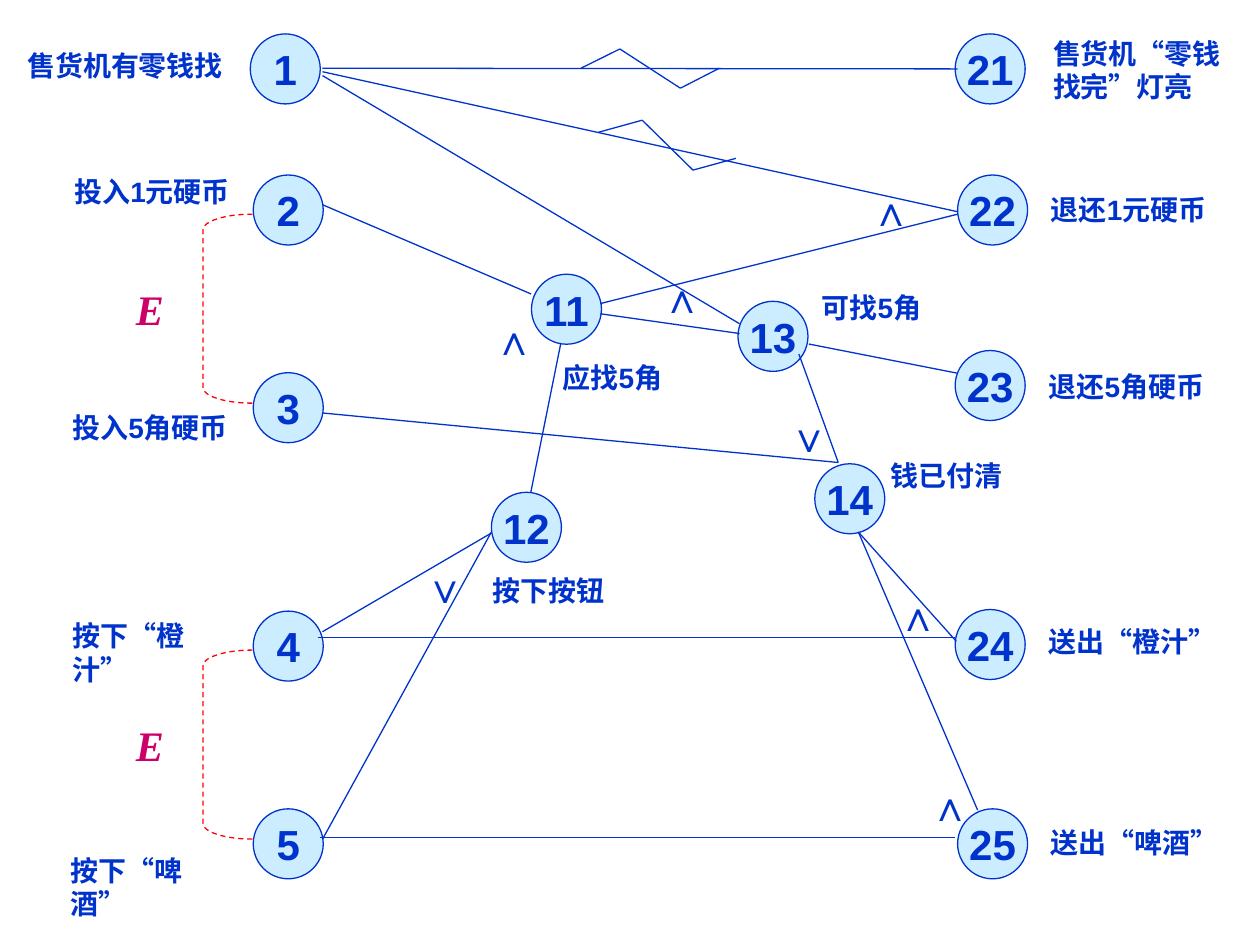
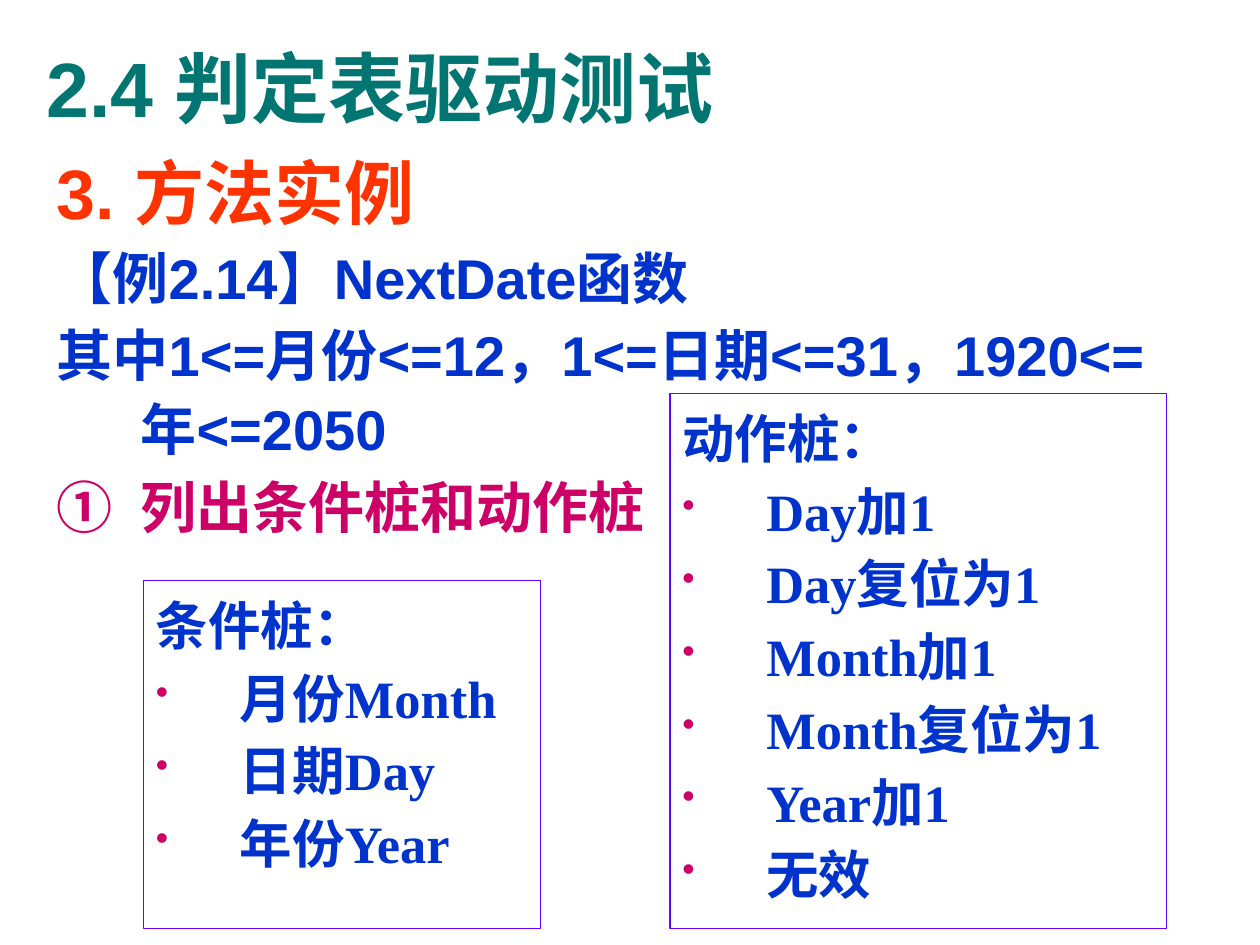
from collections import namedtuple

from lxml import etree
from pptx import Presentation
from pptx.dml.color import RGBColor
from pptx.enum.dml import MSO_LINE
from pptx.enum.shapes import MSO_CONNECTOR, MSO_SHAPE
from pptx.enum.text import MSO_ANCHOR, PP_ALIGN
from pptx.oxml.ns import qn
from pptx.util import Pt

STRAIGHT = MSO_CONNECTOR.STRAIGHT
OVAL, RECTANGLE, BRACKET = MSO_SHAPE.OVAL, MSO_SHAPE.RECTANGLE, MSO_SHAPE.LEFT_BRACKET
DASH = MSO_LINE.DASH
TOP, MIDDLE = MSO_ANCHOR.TOP, MSO_ANCHOR.MIDDLE
LEFT, CENTER = PP_ALIGN.LEFT, PP_ALIGN.CENTER

Box = namedtuple("Box", "left top width height")


class Theme:
    BLUE, PALE, PINK = "0033CC", "CCECFF", "CC0066"
    RED, ORANGE, TEAL, VIOLET = "FF0000", "FF3300", "007572", "6600FF"
    SANS, SERIF = "Arial", "Times New Roman"
    LINE = 0.75
    HANG = 48
    NODE = dict(name=SANS, size=24, color=BLUE, bold=True)
    OR_SIGN = dict(NODE, name=SERIF)
    EXCLUSIVE = dict(OR_SIGN, color=PINK, italic=True)
    LABEL = dict(NODE, size=16)
    TITLE = dict(NODE, size=44, color=TEAL)
    HEADING = dict(NODE, size=40, color=ORANGE)
    BODY = dict(NODE, size=32)
    STEP = dict(BODY, color=PINK)
    STUB = dict(OR_SIGN, size=30)


NODE_SIZE = 40
NODES = {
    "1": (143, 19.4), "2": (144.7, 100), "3": (144.7, 213), "4": (144.7, 349.2), "5": (144.7, 462.2),
    "11": (303.7, 156.7), "12": (280.8, 281.3), "13": (421.7, 172.2), "14": (465.6, 265),
    "21": (545.8, 19.4), "22": (547.2, 100), "23": (545.8, 200.3), "24": (545.8, 348.3),
    "25": (547.2, 462.2),
}
EDGES = [
    (184.3, 39, 547.2, 39.4), (184.3, 41, 547.2, 121), (184.3, 43.2, 422.6, 185),
    (184.3, 117, 303.5, 168), (184.3, 236, 479, 264.3), (184.3, 361, 280.8, 304.6),
    (181.5, 364.4, 545.5, 364.4), (184.3, 479.6, 280.8, 304), (183, 478.6, 545.8, 478.6),
    (303.3, 281.5, 320.4, 196.6), (343, 173.5, 547.2, 122.4), (343, 179.3, 422.6, 190.6),
    (462.2, 196.6, 547.2, 213.3), (456.5, 202.3, 479, 264.3), (490.5, 304, 546.5, 366.5),
    (490.5, 304, 558.7, 463),
]
NEGATIONS = [
    [(332, 39), (354.2, 28), (388.8, 50.4), (411.1, 39)],
    [(342, 75.6), (367, 68.7), (396, 97.2), (420.5, 90.5)],
]
LABELS = [
    ("售货机有零钱找", 8.6, 24.5, 130), ("投入1元硬币", 35.5, 96.5, 103),
    ("投入5角硬币", 34.4, 231, 103), ("按下“橙汁”", 34.4, 350, 103),
    ("按下“啤酒”", 33.2, 484, 103), ("应找5角", 314.5, 202.3, 103),
    ("按下按钮", 274.3, 324, 103), ("可找5角", 462.5, 162.3, 103),
    ("钱已付清", 502, 258.5, 103), ("售货机“零钱找完”灯亮", 594.7, 17.3, 122.4),
    ("退还1元硬币", 593.5, 106.6, 122.4), ("退还5角硬币", 592.3, 207.4, 122.4),
    ("送出“橙汁”", 592.3, 353.5, 122.4), ("送出“啤酒”", 593.5, 468, 122.4),
]
SIGN_SIZE = 28.2
AND_SIGNS = [(275, 179.3), (370.8, 155.5), (490.5, 106), (506, 337), (524.3, 445.7)]
OR_SIGNS = [(235.4, 321), (443.5, 235)]
EXCLUSIVE_PAIRS = [122.4, 371.5]


def write(para, text, style):
    span = para.add_run()
    span.text = text
    values = dict(style)
    span.font.color.rgb = RGBColor.from_string(values.pop("color"))
    values["size"] = Pt(values["size"])
    for key, value in values.items():
        setattr(span.font, key, value)


def set_frame(shape, wrap, anchor):
    frame = shape.text_frame
    frame.word_wrap = wrap
    frame.vertical_anchor = anchor
    return frame


def add_text(page, box, text, style, wrap=True, anchor=TOP, align=LEFT):
    shape = page.shapes.add_textbox(*map(Pt, box))
    para = set_frame(shape, wrap, anchor).paragraphs[0]
    para.alignment = align
    write(para, text, style)


def add_outline(page, kind, box, color, fill=None):
    shape = page.shapes.add_shape(kind, *map(Pt, box))
    shape.shadow.inherit = False
    if fill:
        shape.fill.solid()
        shape.fill.fore_color.rgb = RGBColor.from_string(fill)
    else:
        shape.fill.background()
    shape.line.color.rgb = RGBColor.from_string(color)
    shape.line.width = Pt(Theme.LINE)
    return shape


def add_line(page, box, start, end):
    x1, y1 = start
    x2, y2 = end
    line = page.shapes.add_connector(STRAIGHT, Pt(box.left + x1), Pt(box.top + y1),
                                     Pt(box.left + x2), Pt(box.top + y2))
    line.line.color.rgb = RGBColor.from_string(Theme.BLUE)
    line.line.width = Pt(Theme.LINE)
    etree.SubElement(line._element.spPr, qn("a:effectLst"))


def add_node(page, box, name):
    circle = add_outline(page, OVAL, box, Theme.BLUE, Theme.PALE)
    para = set_frame(circle, False, MIDDLE).paragraphs[0]
    para.alignment = CENTER
    write(para, name, Theme.NODE)


def add_sign(page, box, text, style):
    add_text(page, box, text, style, wrap=False, anchor=MIDDLE, align=CENTER)


def add_exclusive_pair(page, box):
    """Dashed bracket at the right of the box, with its E at the left."""
    width = 28.2
    bracket = add_outline(page, BRACKET,
                          (box.left + box.width - width, box.top, width, box.height), Theme.RED)
    bracket.adjustments[0] = 0.318
    bracket.line.dash_style = DASH
    middle = box.top + (box.height - SIGN_SIZE) / 2
    add_sign(page, (box.left, middle, SIGN_SIZE, SIGN_SIZE), "E", Theme.EXCLUSIVE)


def build_cause_effect_graph(page, box):
    def place(x, y, width, height):
        return Box(box.left + x, box.top + y, width, height)

    for name, (x, y) in NODES.items():
        add_node(page, place(x, y, NODE_SIZE, NODE_SIZE), name)
    for x1, y1, x2, y2 in EDGES:
        add_line(page, box, (x1, y1), (x2, y2))
    for points in NEGATIONS:
        for start, end in zip(points, points[1:]):
            add_line(page, box, start, end)
    for top in EXCLUSIVE_PAIRS:
        add_exclusive_pair(page, place(70.6, top, 73.6, 108))
    for sign, style, spots in (("∧", Theme.NODE, AND_SIGNS), ("∨", Theme.OR_SIGN, OR_SIGNS)):
        for x, y in spots:
            add_sign(page, place(x, y, SIGN_SIZE, SIGN_SIZE), sign, style)
    for text, x, y, width in LABELS:
        add_text(page, place(x, y, width, 26.6), text, Theme.LABEL)


def add_bullet(para, tag, size=None, **attributes):
    props = para._p.get_or_add_pPr()
    color = etree.SubElement(props, qn("a:buClr"))
    etree.SubElement(color, qn("a:srgbClr"), val=Theme.PINK)
    if size:
        etree.SubElement(props, qn("a:buSzPct"), val=str(size * 1000))
    etree.SubElement(props, qn(tag), **attributes)


def fill_list(frame, items):
    """Write (text, style, bullet) items as hanging paragraphs."""
    for index, (text, style, bullet) in enumerate(items):
        para = frame.add_paragraph() if index else frame.paragraphs[0]
        props = para._p.get_or_add_pPr()
        props.set("marL", str(Pt(Theme.HANG)))
        props.set("indent", str(-Pt(Theme.HANG)))
        if bullet:
            add_bullet(para, **bullet)
        para.alignment = LEFT
        para.line_spacing = 1.1
        para.space_after = Pt(1)
        if index:
            para.space_before = Pt(1)
        write(para, text, style)


def add_stub_panel(page, box, heading, entries):
    panel = add_outline(page, RECTANGLE, box, Theme.VIOLET)
    dot = dict(tag="a:buChar", size=70, char="•")
    items = [(heading, Theme.STUB, None)] + [(entry, Theme.STUB, dot) for entry in entries]
    fill_list(set_frame(panel, True, TOP), items)


def build_decision_table_page(page, box):
    def place(x, y, width, height):
        return Box(box.left + x, box.top + y, width, height)

    add_text(page, place(19.4, 4.3, 672.5, 90), "2.4 判定表驱动测试", Theme.TITLE, anchor=MIDDLE)
    body = page.shapes.add_textbox(*map(Pt, place(25.2, 77, 663, 368.6)))
    fill_list(set_frame(body, True, TOP), [
        ("3. 方法实例", Theme.HEADING, None),
        ("【例2.14】NextDate函数", Theme.BODY, None),
        ("其中1<=月份<=12，1<=日期<=31，1920<=年<=2050", Theme.BODY, None),
        ("列出条件桩和动作桩", Theme.STEP, dict(tag="a:buAutoNum", type="circleNumDbPlain")),
    ])
    add_stub_panel(page, place(82, 331.7, 227, 199), "条件桩：",
                   ["月份Month", "日期Day", "年份Year"])
    add_stub_panel(page, place(382.8, 224.8, 283.6, 306), "动作桩：",
                   ["Day加1", "Day复位为1", "Month加1", "Month复位为1", "Year加1", "无效"])


def main():
    deck = Presentation()
    deck.slide_width, deck.slide_height = Pt(720), Pt(540)
    whole = Box(0, 0, 720, 540)
    for build in (build_cause_effect_graph, build_decision_table_page):
        build(deck.slides.add_slide(deck.slide_layouts[6]), whole)
    deck.save("out.pptx")


if __name__ == "__main__":
    main()
